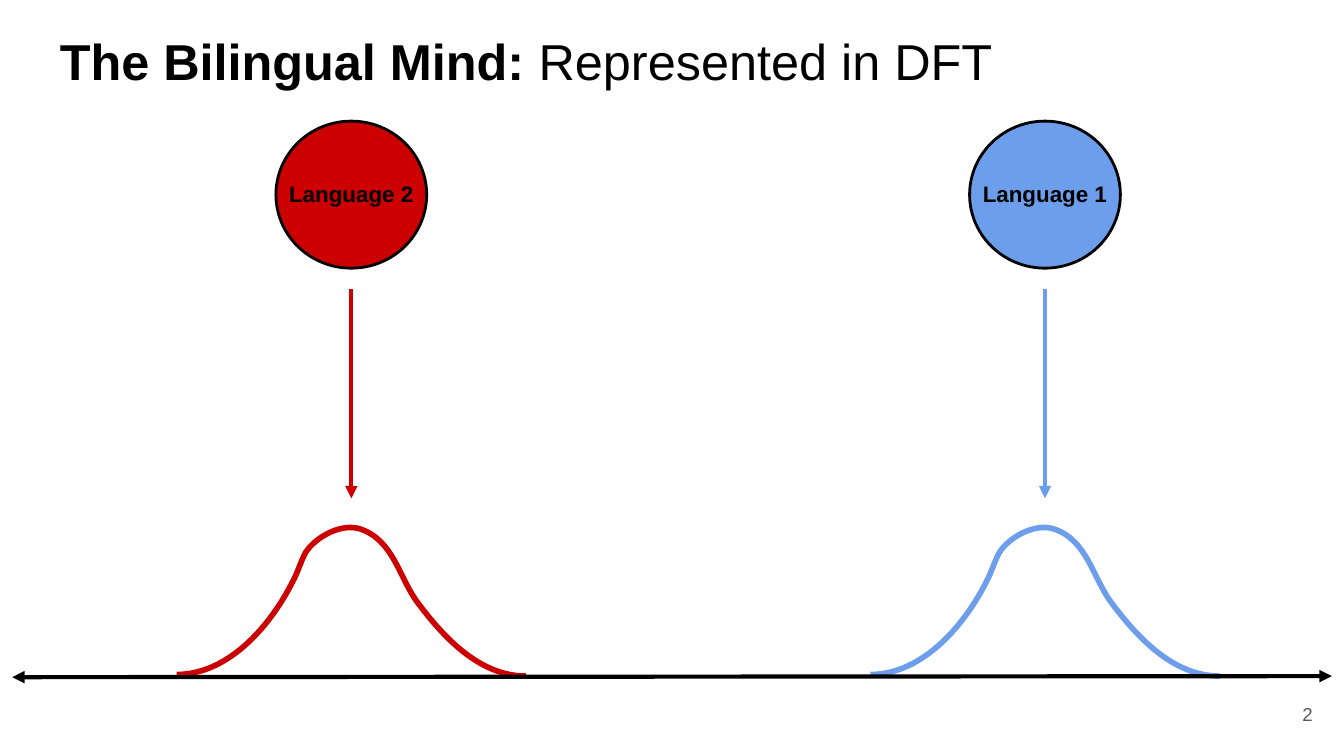
import pptx
import pptx.util
import pptx.dml.color
import pptx.enum.shapes
import pptx.enum.text
import pptx.oxml
import pptx.oxml.ns

Cm = pptx.util.Cm
Pt = pptx.util.Pt
Align = pptx.enum.text.PP_ALIGN
Anchor = pptx.enum.text.MSO_ANCHOR

THEME = {
    "font": "Arial",
    "ink": "000000", "muted": "595959",
    "title": 27, "label": 12, "number": 10,
    "curve": 3, "arrow": 2.25, "outline": 1.5,
}
TITLE = [("The Bilingual Mind: ", True), ("Represented in DFT", False)]
PAGE_NUMBER = "2"
LANGUAGES = [
    {"name": "Language 1", "center": 19.75, "fill": "6C9EEB", "curve": "6D9EEB",
     "label_size": (3.18, 0.86)},
    {"name": "Language 2", "center": 6.64, "fill": "CC0000", "curve": "CC0000",
     "label_size": (3.0, 0.56)},
]
CURVE_START = (-3.30, 12.75)
CURVE_SEGMENTS = [
    [(-2.28, 12.75), (-1.49, 11.76), (-1.11, 11.00)],
    [(-1.01, 10.82), (-0.96, 10.62), (-0.86, 10.44)],
    [(-0.68, 10.16), (-0.20, 9.88), (0.17, 10.00)],
    [(0.80, 10.21), (0.90, 10.92), (1.26, 11.40)],
    [(1.72, 12.01), (2.40, 12.78), (3.30, 12.78)],
]
AXIS = [(0.23, 12.80), (25.17, 12.78)]
ARROW_TOP, ARROW_BOTTOM = 5.46, 9.42
CIRCLE_TOP, CIRCLE_WIDTH, CIRCLE_HEIGHT = 2.29, 2.85, 2.78
LABEL_TOP = 3.15


def color(name):
    return pptx.dml.color.RGBColor.from_string(name)


def set_line(shape, line_color, width):
    shape.line.color.rgb = color(line_color)
    shape.line.width = Pt(width)


def write(shape, runs, size, text_color, align, anchor=Anchor.TOP):
    frame = shape.text_frame
    frame.word_wrap = True
    frame.auto_size = pptx.enum.text.MSO_AUTO_SIZE.NONE
    frame.vertical_anchor = anchor
    frame.margin_left = frame.margin_right = Cm(0.25)
    frame.margin_top = frame.margin_bottom = Cm(0.25)
    paragraph = frame.paragraphs[0]
    paragraph.alignment = align
    for text, bold in runs:
        run = paragraph.add_run()
        run.text = text
        run.font.name = THEME["font"]
        run.font.size = Pt(size)
        run.font.bold = bold
        run.font.color.rgb = color(text_color)


def add_arrow(slide, start, end, line_color, ends):
    arrow = slide.shapes.add_connector(
        pptx.enum.shapes.MSO_CONNECTOR.STRAIGHT, *map(Cm, start + end))
    set_line(arrow, line_color, THEME["arrow"])
    line = arrow.line._get_or_add_ln()
    for end_name in ends:
        head = pptx.oxml.ns.qn("a:" + end_name)
        line.append(line.makeelement(head, {"type": "triangle"}))
    properties = arrow._element.spPr
    properties.append(properties.makeelement(pptx.oxml.ns.qn("a:effectLst"), {}))


def bend_segments(shape):
    line_tag = pptx.oxml.ns.qn("a:lnTo")
    curve_tag = pptx.oxml.ns.qn("a:cubicBezTo")
    lines = list(shape._element.iter(line_tag))
    for index in range(0, len(lines), 3):
        first, second, end = lines[index:index + 3]
        bend = first.makeelement(curve_tag, {})
        first.addprevious(bend)
        for line in (first, second, end):
            bend.append(line[0])
            line.getparent().remove(line)


def add_curve(slide, center, line_color):
    corners = [CURVE_START] + [corner for segment in CURVE_SEGMENTS for corner in segment]
    points = [(Cm(center + x), Cm(y)) for x, y in corners]
    builder = slide.shapes.build_freeform(*points[0])
    builder.add_line_segments(points[1:], close=False)
    curve = builder.convert_to_shape()
    bend_segments(curve)
    curve.shadow.inherit = False
    curve.fill.background()
    set_line(curve, line_color, THEME["curve"])


def add_circle(slide, language):
    circle = slide.shapes.add_shape(
        pptx.enum.shapes.MSO_SHAPE.OVAL,
        Cm(language["center"] - CIRCLE_WIDTH / 2), Cm(CIRCLE_TOP),
        Cm(CIRCLE_WIDTH), Cm(CIRCLE_HEIGHT))
    circle.shadow.inherit = False
    circle.fill.solid()
    circle.fill.fore_color.rgb = color(language["fill"])
    set_line(circle, THEME["ink"], THEME["outline"])


def add_label(slide, language):
    width, height = language["label_size"]
    label = slide.shapes.add_textbox(
        Cm(language["center"] - width / 2), Cm(LABEL_TOP), Cm(width), Cm(height))
    write(label, [(language["name"], True)], THEME["label"], THEME["ink"], Align.CENTER)


def main():
    presentation = pptx.Presentation()
    presentation.slide_width, presentation.slide_height = Cm(25.4), Cm(14.29)
    slide = presentation.slides.add_slide(presentation.slide_layouts[5])

    title = slide.shapes.title
    title.left, title.top, title.width, title.height = map(Cm, (0.88, 0.32, 23.67, 1.6))
    write(title, TITLE, THEME["title"], THEME["ink"], Align.LEFT)

    for language in LANGUAGES:
        add_curve(slide, language["center"], language["curve"])
    add_arrow(slide, *AXIS, THEME["ink"], ["headEnd", "tailEnd"])
    for language in LANGUAGES:
        center = language["center"]
        add_arrow(slide, (center, ARROW_TOP), (center, ARROW_BOTTOM),
                  language["fill"], ["tailEnd"])
    for language in LANGUAGES:
        add_circle(slide, language)
    for language in reversed(LANGUAGES):
        add_label(slide, language)

    number = slide.shapes.add_textbox(Cm(23.54), Cm(12.95), Cm(1.52), Cm(1.09))
    write(number, [(PAGE_NUMBER, False)], THEME["number"], THEME["muted"],
          Align.RIGHT, Anchor.MIDDLE)
    presentation.save("out.pptx")


if __name__ == "__main__":
    main()
